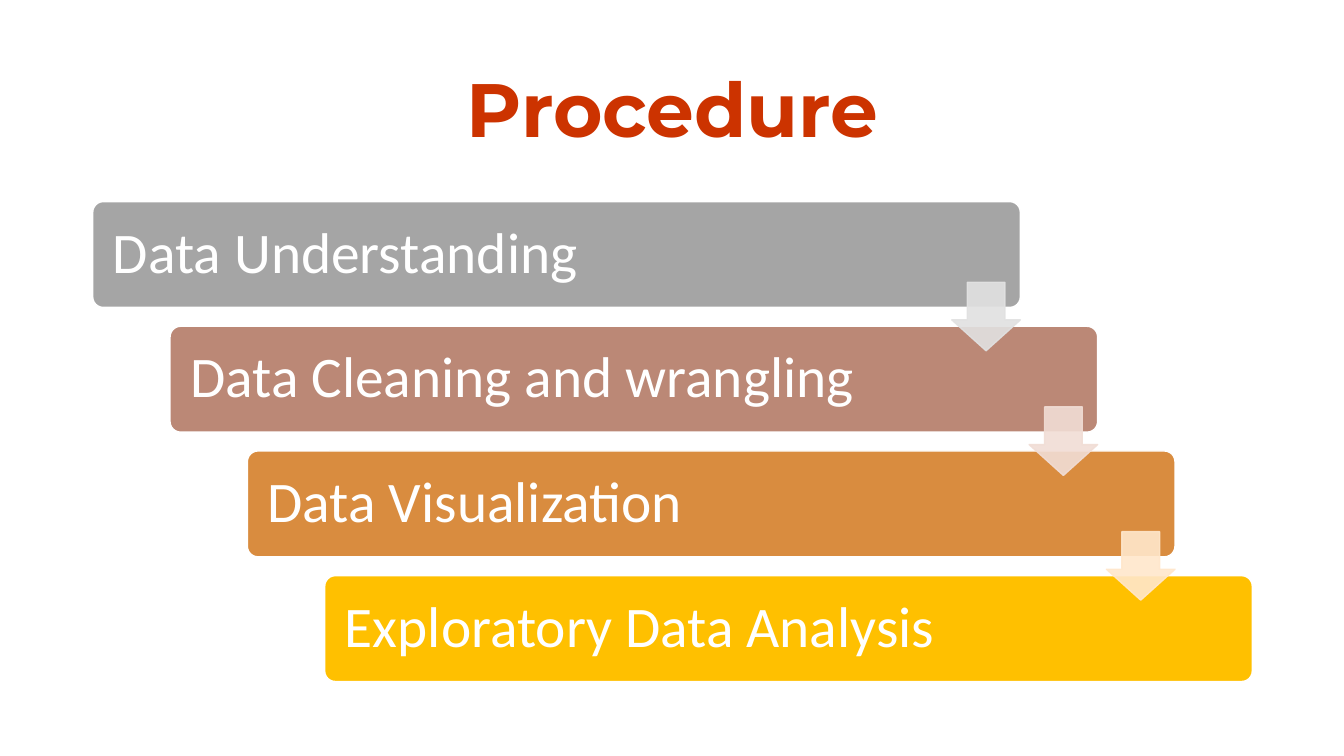
"""Build a slide that shows a four-step procedure as a staircase."""
from dataclasses import dataclass

from lxml import etree
from pptx import Presentation
from pptx.dml.color import RGBColor
from pptx.enum import shapes, text
from pptx.oxml import ns
from pptx.util import Inches, Pt


@dataclass(frozen=True)
class Theme:
    """Hold the colours, fonts and type sizes."""
    title: str = "CC3300"
    white: str = "FFFFFF"
    bars: tuple = ("A5A5A5", "BB8876", "D98C3F", "FFC000")
    arrows: tuple = ("E1E1E1", "F1DDD5", "FFE7CB")
    head: str = "Montserrat"
    body: str = "Calibri"
    big: int = 54
    mid: int = 41


THEME = Theme()
STEPS = ("Data Understanding", "Data Cleaning and wrangling",
         "Data Visualization", "Exploratory Data Analysis")
LEFT, TOP = 0.92, 2
DX, DY = 0.767, 1.237
WIDE, HIGH = 9.2, 1.05
ARROW = 0.68


def write(frame, words, font, size, tint, bold=False):
    """Put one styled run in a text frame."""
    frame.word_wrap = True
    frame.auto_size = text.MSO_AUTO_SIZE.NONE
    frame.vertical_anchor = text.MSO_ANCHOR.MIDDLE
    para = frame.paragraphs[0]
    para.line_spacing = 0.9
    run = para.add_run()
    run.text = words
    run.font.name = font
    run.font.size = Pt(size)
    run.font.bold = bold
    run.font.color.rgb = RGBColor.from_string(tint)
    return para


def fade(shape, share):
    """Make the fill and line of a shape partly opaque."""
    for tint in shape._element.spPr.iter(ns.qn("a:srgbClr")):
        etree.SubElement(tint, ns.qn("a:alpha")).set("val", str(share * 1000))


def block(slide, kind, place, tint, edge, bends):
    """Add a filled preset shape."""
    shape = slide.shapes.add_shape(kind, *map(Inches, place))
    shape.shadow.inherit = False
    shape.fill.solid()
    shape.fill.fore_color.rgb = RGBColor.from_string(tint)
    shape.line.color.rgb = RGBColor.from_string(edge)
    shape.line.width = Pt(1)
    for index, bend in enumerate(bends):
        shape.adjustments[index] = bend
    return shape


def step(slide, index, words):
    """Add one bar of the staircase with its label."""
    place = (LEFT + index * DX, TOP + index * DY, WIDE, HIGH)
    bar = block(slide, shapes.MSO_SHAPE.ROUNDED_RECTANGLE, place,
                THEME.bars[index], THEME.white, [0.1])
    bar.text_frame.margin_left = Inches(0.17)
    para = write(bar.text_frame, words, THEME.body, THEME.mid, THEME.white)
    para.alignment = text.PP_ALIGN.LEFT


def arrow(slide, index, tint):
    """Add the arrow that leads from one bar to the next."""
    place = (LEFT + WIDE - ARROW + index * DX, TOP + 0.8 + index * DY,
             ARROW, ARROW)
    shape = block(slide, shapes.MSO_SHAPE.DOWN_ARROW, place,
                  tint, tint, [0.55, 0.45])
    fade(shape, 90)


def title(slide, words):
    """Place and fill the title."""
    head = slide.shapes.title
    head.left, head.top, head.width, head.height = map(
        Inches, (LEFT, 0.4, 11.5, 1.45))
    para = write(head.text_frame, words, THEME.head, THEME.big,
                 THEME.title, True)
    para.alignment = text.PP_ALIGN.CENTER


def main():
    """Build and save the slide."""
    deck = Presentation()
    deck.slide_width, deck.slide_height = Inches(13.33), Inches(7.5)
    slide = deck.slides.add_slide(deck.slide_layouts[5])
    title(slide, "Procedure")
    for index, words in enumerate(STEPS):
        step(slide, index, words)
    for index, tint in enumerate(THEME.arrows):
        arrow(slide, index, tint)
    deck.save("out.pptx")


main()
